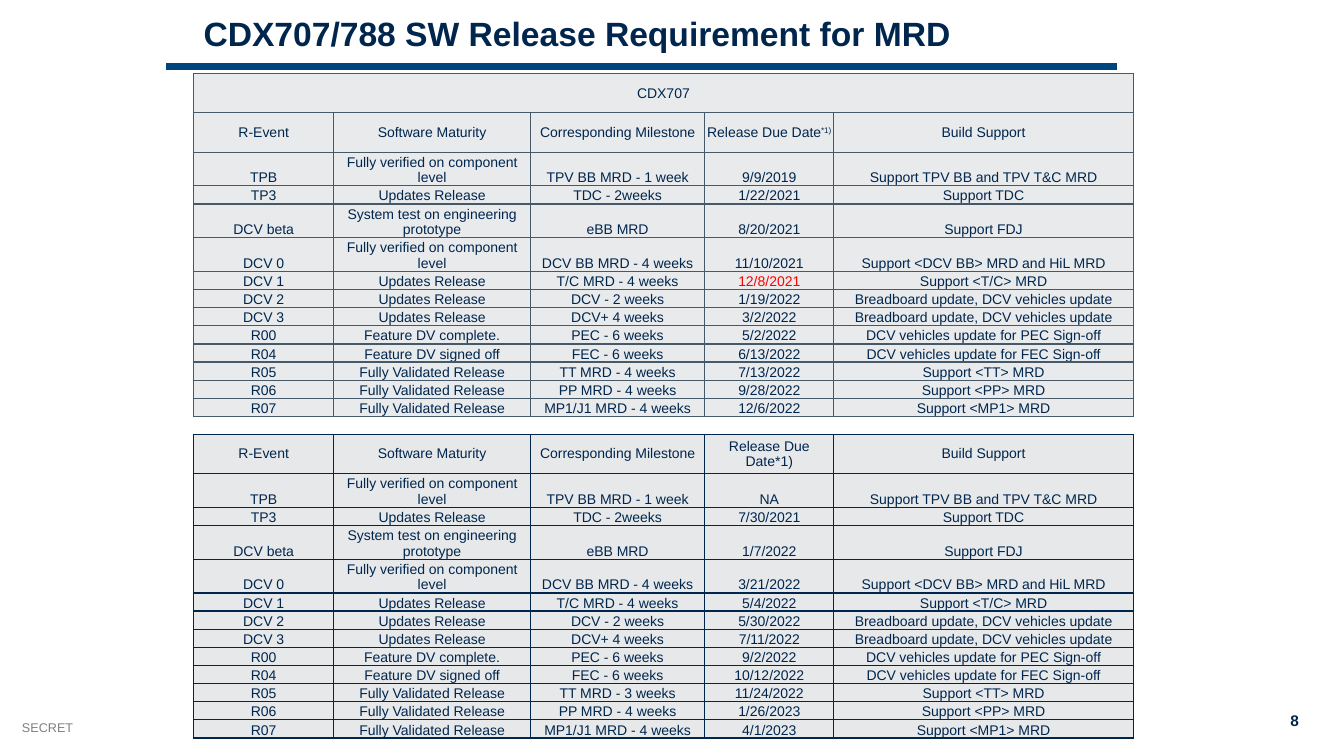
from lxml import etree
from pptx import Presentation, util as u
from pptx.dml.color import RGBColor
from pptx.enum import shapes, text
from pptx.oxml import ns

NAVY = RGBColor(0x00, 0x26, 0x4E)
BLUE = RGBColor(0x00, 0x45, 0x7E)
SLATE = RGBColor(0x45, 0x59, 0x68)
GRAY = RGBColor(0x80, 0x80, 0x80)
RED = RGBColor(0xFF, 0x00, 0x00)
PALE = RGBColor(0xE9, 0xEA, 0xEB)
MIST = RGBColor(0xE7, 0xE8, 0xE9)
LEFT, MID, RIGHT = text.PP_ALIGN.LEFT, text.PP_ALIGN.CENTER, text.PP_ALIGN.RIGHT

# Grid of both tables, in inches
EDGE = 1.92
COLS = [1.39, 1.95, 1.73, 1.28, 2.97]
TALL, LOW = 0.39, 0.18


def say(frame, words, size=10, color=NAVY, bold=False, align=LEFT, sup="", lead=1.0):
    para = frame.paragraphs[0]
    para.alignment = align
    para.line_spacing = lead
    for part in filter(None, (words, sup)):
        run = para.add_run()
        run.text = part
        font = run.font
        font.name, font.size, font.bold = "Arial", u.Pt(size), bold
        font.color.rgb = color
    if sup:
        run._r.get_or_add_rPr().set("baseline", "30000")


def edge(cell, color):
    props = cell._tc.get_or_add_tcPr()
    for side in ("lnL", "lnR", "lnT", "lnB"):
        line = etree.SubElement(props, ns.qn("a:" + side), w=str(u.Pt(1)))
        fill = etree.SubElement(line, ns.qn("a:solidFill"))
        etree.SubElement(fill, ns.qn("a:srgbClr"), val=str(color))


deck = Presentation()
deck.slide_width, deck.slide_height = u.Inches(13.33), u.Inches(7.5)
slide = deck.slides.add_slide(deck.slide_layouts[6])

# Rule below the title
rule = slide.shapes.add_connector(
    shapes.MSO_CONNECTOR.STRAIGHT,
    u.Inches(1.65), u.Inches(0.66), u.Inches(11.08), u.Inches(0.66))
rule.line.color.rgb = BLUE
rule.line.width = u.Pt(4.5)
etree.SubElement(rule._element.spPr, ns.qn("a:effectLst"))

# Title, footer mark and page number
labels = [
    ((EDGE, 0.12, 11.85, 0.63), "CDX707/788 SW Release Requirement for MRD",
     dict(size=24, bold=True, lead=0.9)),
    ((0.12, 7.09, 3, 0.25), "SECRET", dict(size=9, color=GRAY)),
    ((12.59, 7.01, 0.39, 0.29), "8", dict(size=11, bold=True, align=RIGHT)),
]
for place, words, style in labels:
    box = slide.shapes.add_textbox(*map(u.Inches, place))
    box.text_frame.word_wrap = True
    say(box.text_frame, words, **style)

# Release plan: event, maturity, milestone, CDX707 date, second date, support
HEAD = ["R-Event", "Software Maturity", "Corresponding Milestone",
        "Release Due Date", "Build Support"]
PART = "Fully verified on component level"
NEW = "Updates Release"
FULL = "Fully Validated Release"
BOARD = "Breadboard update, DCV vehicles update"
PLAN = [
    ("TPB", PART, "TPV BB MRD - 1 week", "9/9/2019", "NA",
     "Support TPV BB and TPV T&C MRD"),
    ("TP3", NEW, "TDC - 2weeks", "1/22/2021", "7/30/2021", "Support TDC"),
    ("DCV beta", "System test on engineering prototype", "eBB MRD",
     "8/20/2021", "1/7/2022", "Support FDJ"),
    ("DCV 0", PART, "DCV BB MRD - 4 weeks", "11/10/2021", "3/21/2022",
     "Support <DCV BB> MRD and HiL MRD"),
    ("DCV 1", NEW, "T/C MRD - 4 weeks", "12/8/2021", "5/4/2022", "Support <T/C> MRD"),
    ("DCV 2", NEW, "DCV - 2 weeks", "1/19/2022", "5/30/2022", BOARD),
    ("DCV 3", NEW, "DCV+ 4 weeks", "3/2/2022", "7/11/2022", BOARD),
    ("R00", "Feature DV complete.", "PEC - 6 weeks", "5/2/2022", "9/2/2022",
     "DCV vehicles update for PEC Sign-off"),
    ("R04", "Feature DV signed off", "FEC - 6 weeks", "6/13/2022", "10/12/2022",
     "DCV vehicles update for FEC Sign-off"),
    ("R05", FULL, "TT MRD - 4 weeks", "7/13/2022", "11/24/2022", "Support <TT> MRD"),
    ("R06", FULL, "PP MRD - 4 weeks", "9/28/2022", "1/26/2023", "Support <PP> MRD"),
    ("R07", FULL, "MP1/J1 MRD - 4 weeks", "12/6/2022", "4/1/2023", "Support <MP1> MRD"),
]
first = [["CDX707", "", "", "", ""], HEAD]
first += [[*row[:4], row[5]] for row in PLAN]
second = [[*HEAD[:3], "Release Due Date*1)", HEAD[4]]]
second += [[*row[:3], *row[4:]] for row in PLAN]
second[10][2] = "TT MRD - 3 weeks"

# Both tables
for top, rows, heads, fill, line in [(0.73, first, 2, PALE, SLATE),
                                     (4.31, second, 1, MIST, NAVY)]:
    high = heads * TALL + len(PLAN) * LOW
    grid = slide.shapes.add_table(
        len(rows), len(COLS), u.Inches(EDGE), u.Inches(top),
        u.Inches(sum(COLS)), u.Inches(high)).table
    grid.first_row = grid.horz_banding = False
    for col, wide in zip(grid.columns, COLS):
        col.width = u.Inches(wide)
    for r, row in enumerate(rows):
        grid.rows[r].height = u.Inches(TALL if r < heads else LOW)
        for c, words in enumerate(row):
            cell = grid.cell(r, c)
            edge(cell, line)
            cell.fill.solid()
            cell.fill.fore_color.rgb = fill
            cell.margin_left = cell.margin_right = 0
            cell.margin_top = cell.margin_bottom = 0
            cell.vertical_anchor = (text.MSO_ANCHOR.MIDDLE if r < heads
                                    else text.MSO_ANCHOR.BOTTOM)
            say(cell.text_frame, words, align=MID,
                color=RED if words == "12/8/2021" else NAVY,
                sup="*1)" if words == "Release Due Date" else "")
    if heads == 2:
        grid.cell(0, 0).merge(grid.cell(0, len(COLS) - 1))

deck.save("out.pptx")
